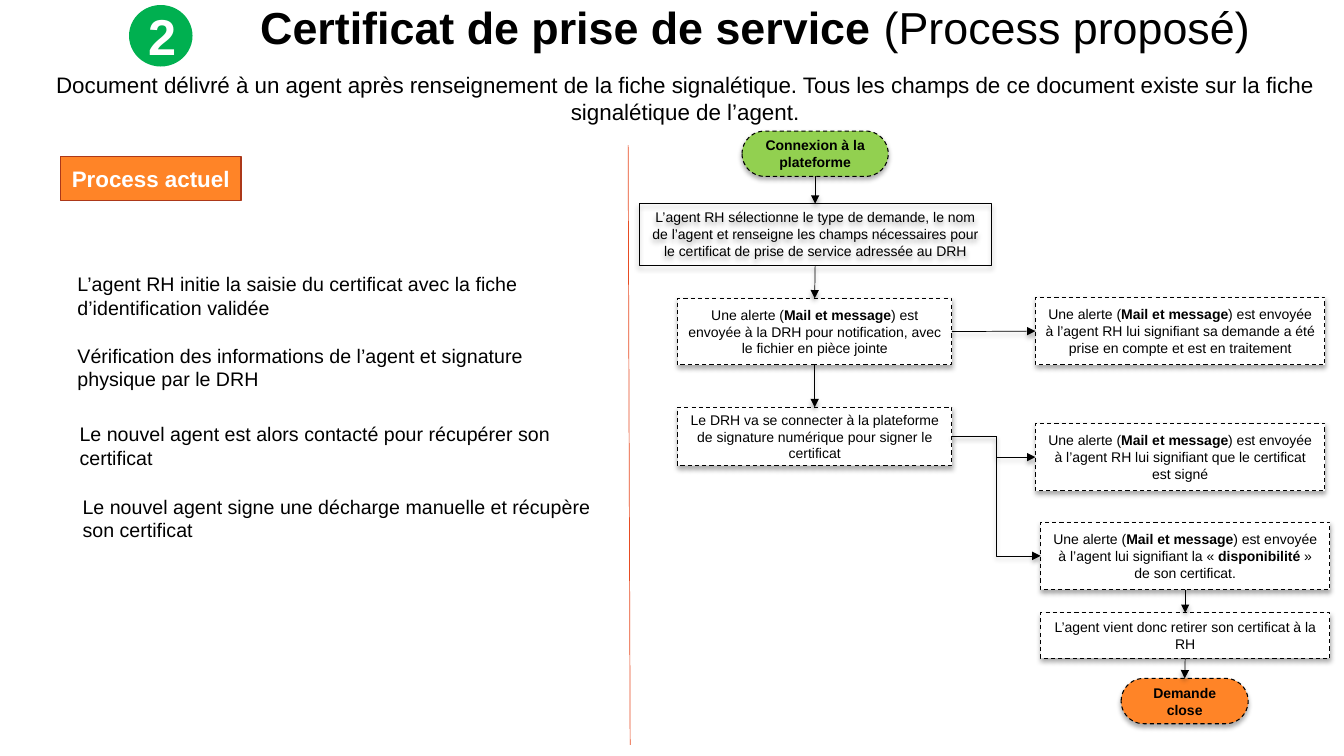
from lxml import etree
from pptx import Presentation
from pptx import util as u
from pptx.dml import color
from pptx.enum import dml, shapes, text
from pptx.oxml import ns

CELL = u.Inches(0.1)
TOP, LEFT, BOTTOM, RIGHT = range(4)
BLACK, WHITE, ORANGE = "000000", "FFFFFF", "FF8427"
RECTANGLE = shapes.MSO_SHAPE.RECTANGLE
PILL = shapes.MSO_SHAPE.ROUNDED_RECTANGLE
STRAIGHT = shapes.MSO_CONNECTOR.STRAIGHT
ELBOW = shapes.MSO_CONNECTOR.ELBOW
ALERT = "Une alerte (**Mail et message**) est envoyée "


def grid(*cells):
    return [round(cell * CELL) for cell in cells]


def rgb(value):
    return color.RGBColor.from_string(value)


def child(parent, tag, **attributes):
    element = etree.SubElement(parent, ns.qn(tag))
    for name, value in attributes.items():
        element.set(name, str(value))
    return element


def add_shadow(effects):
    shadow = child(effects, "a:outerShdw", blurRad=u.Pt(3.5), dist=u.Pt(2.2),
                   dir=5400000, algn="ctr", rotWithShape=0)
    black = child(shadow, "a:srgbClr", val=BLACK)
    child(black, "a:alpha", val=32000)


def write(shape, content, size=10, hue=BLACK, center=True, middle=True,
          grow=False, spacing=None):
    frame = shape.text_frame
    frame.word_wrap = True
    frame.vertical_anchor = text.MSO_ANCHOR.MIDDLE if middle else text.MSO_ANCHOR.TOP
    if grow:
        frame.auto_size = text.MSO_AUTO_SIZE.SHAPE_TO_FIT_TEXT
    paragraph = frame.paragraphs[0]
    paragraph.alignment = text.PP_ALIGN.CENTER if center else text.PP_ALIGN.LEFT
    if spacing:
        paragraph.line_spacing = spacing
    for index, part in enumerate(content.split("**")):
        if part:
            run = paragraph.add_run()
            run.text = part
            run.font.name = "Arial"
            run.font.size = u.Pt(size)
            run.font.bold = index % 2 == 1
            run.font.color.rgb = rgb(hue)


def add_text(slide, place, content, **style):
    write(slide.shapes.add_textbox(*grid(*place)), content, **style)


def add_box(slide, place, content, kind=RECTANGLE, fill=WHITE, line=BLACK,
            width=0.75, dashed=True, shadow=True, **style):
    shape = slide.shapes.add_shape(kind, *grid(*place))
    if kind == PILL:
        shape.adjustments[0] = 0.5
    if fill:
        shape.fill.solid()
        shape.fill.fore_color.rgb = rgb(fill)
    else:
        shape.fill.background()
    if line:
        shape.line.color.rgb = rgb(line)
        shape.line.width = u.Pt(width)
        if dashed:
            shape.line.dash_style = dml.MSO_LINE.DASH
    else:
        shape.line.fill.background()
    shape.shadow.inherit = False
    if shadow:
        add_shadow(shape._element.spPr.find(ns.qn("a:effectLst")))
    write(shape, content, **style)
    return shape


def add_line(slide, ends=(0, 0, 0, 0), kind=STRAIGHT, hue=BLACK):
    connector = slide.shapes.add_connector(kind, *grid(*ends))
    connector.line.color.rgb = rgb(hue)
    connector.line.width = u.Pt(0.5)
    return connector, child(connector._element.spPr, "a:effectLst")


def add_arrow(slide, start, end, sides=(BOTTOM, TOP), kind=STRAIGHT, bend=None):
    connector, effects = add_line(slide, kind=kind)
    connector.begin_connect(start, sides[0])
    connector.end_connect(end, sides[1])
    properties = connector._element.spPr
    child(properties.find(ns.qn("a:ln")), "a:tailEnd", type="triangle")
    add_shadow(effects)
    if bend:
        guides = properties.find(ns.qn("a:prstGeom")).get_or_add_avLst()
        child(guides, "a:gd", name="adj1", fmla=f"val {round(bend * 100000)}")


def add_heading(slide):
    add_text(slide, (18.3, 0.2, 113.2, 5.5),
             "**Certificat de prise de service **(Process proposé)", size=32, spacing=0.9)
    add_box(slide, (12.8, 0.5, 6.3, 6.1), "**2**", kind=shapes.MSO_SHAPE.OVAL,
            fill="00B050", line=None, shadow=False, size=36, hue=WHITE)
    add_text(slide, (2.5, 6.6, 130.9, 6.4),
             "Document délivré à un agent après renseignement de la fiche signalétique. "
             "Tous les champs de ce document existe sur la fiche signalétique de l’agent.",
             size=16, middle=False, grow=True)


def add_current_process(slide):
    add_box(slide, (6, 15.5, 17.9, 4.4), "**Process actuel**", fill=ORANGE, line="AC3819",
            width=1, dashed=False, shadow=False, size=16, hue=WHITE)
    steps = [
        (6.7, 26.5, 55.1, "L’agent RH initie la saisie du certificat avec la fiche "
                          "d’identification validée"),
        (6.7, 33.6, 52.6, "Vérification des informations de l’agent et signature "
                          "physique par le DRH"),
        (6.9, 41.4, 52.8, "Le nouvel agent est alors contacté pour récupérer son certificat"),
        (7.2, 48.6, 52.8, "Le nouvel agent signe une décharge manuelle et récupère "
                          "son certificat"),
    ]
    for left, top, width, content in steps:
        add_text(slide, (left, top, width, 5.7), content, size=14,
                 center=False, middle=False, grow=True)


def add_proposed_process(slide):
    login = add_box(slide, (73.6, 13, 14.5, 4.5), "**Connexion à la plateforme**",
                    kind=PILL, fill="92D050")
    request = add_box(slide, (63.4, 20.2, 34.9, 6.1),
                      "L’agent RH sélectionne le type de demande, le nom de l’agent et "
                      "renseigne les champs nécessaires pour le certificat de prise de "
                      "service adressée au DRH",
                      fill=None, dashed=False, middle=False, grow=True)
    notice = add_box(slide, (67.2, 29.6, 27.2, 6.6),
                     ALERT + "à la DRH pour notification, avec le fichier en pièce jointe")
    signing = add_box(slide, (67.2, 40.4, 27.2, 5.8),
                      "Le DRH va se connecter à la plateforme de signature numérique "
                      "pour signer le certificat")
    received = add_box(slide, (102.7, 29.5, 28.7, 6.7),
                       ALERT + "à l’agent RH lui signifiant sa demande a été prise en "
                       "compte et est en traitement")
    signed = add_box(slide, (102.7, 42, 28.7, 6.7),
                     ALERT + "à l’agent RH lui signifiant que le certificat est signé")
    available = add_box(slide, (103.2, 51.8, 28.7, 6.7),
                        ALERT + "à l’agent lui signifiant la « **disponibilité** » "
                        "de son certificat.")
    pickup = add_box(slide, (103.2, 60.8, 28.7, 4.5),
                     "L’agent vient donc retirer son certificat à la RH")
    closed = add_box(slide, (111.2, 67.3, 12.6, 4.5), "**Demande close**",
                     kind=PILL, fill=ORANGE)

    for chain in ((login, request, notice, signing), (available, pickup, closed)):
        for start, end in zip(chain, chain[1:]):
            add_arrow(slide, start, end)
    add_arrow(slide, notice, received, (RIGHT, LEFT))
    add_arrow(slide, signing, available, (RIGHT, LEFT), ELBOW, 0.5)
    add_arrow(slide, signing, signed, (RIGHT, LEFT), ELBOW, 0.53)


def main():
    presentation = Presentation()
    presentation.slide_width = u.Inches(13.33)
    presentation.slide_height = u.Inches(7.5)
    slide = presentation.slides.add_slide(presentation.slide_layouts[6])
    add_heading(slide)
    add_current_process(slide)
    add_line(slide, (62.3, 14.4, 62.5, 73.9), hue="E84C22")
    add_proposed_process(slide)
    presentation.save("out.pptx")


if __name__ == "__main__":
    main()
